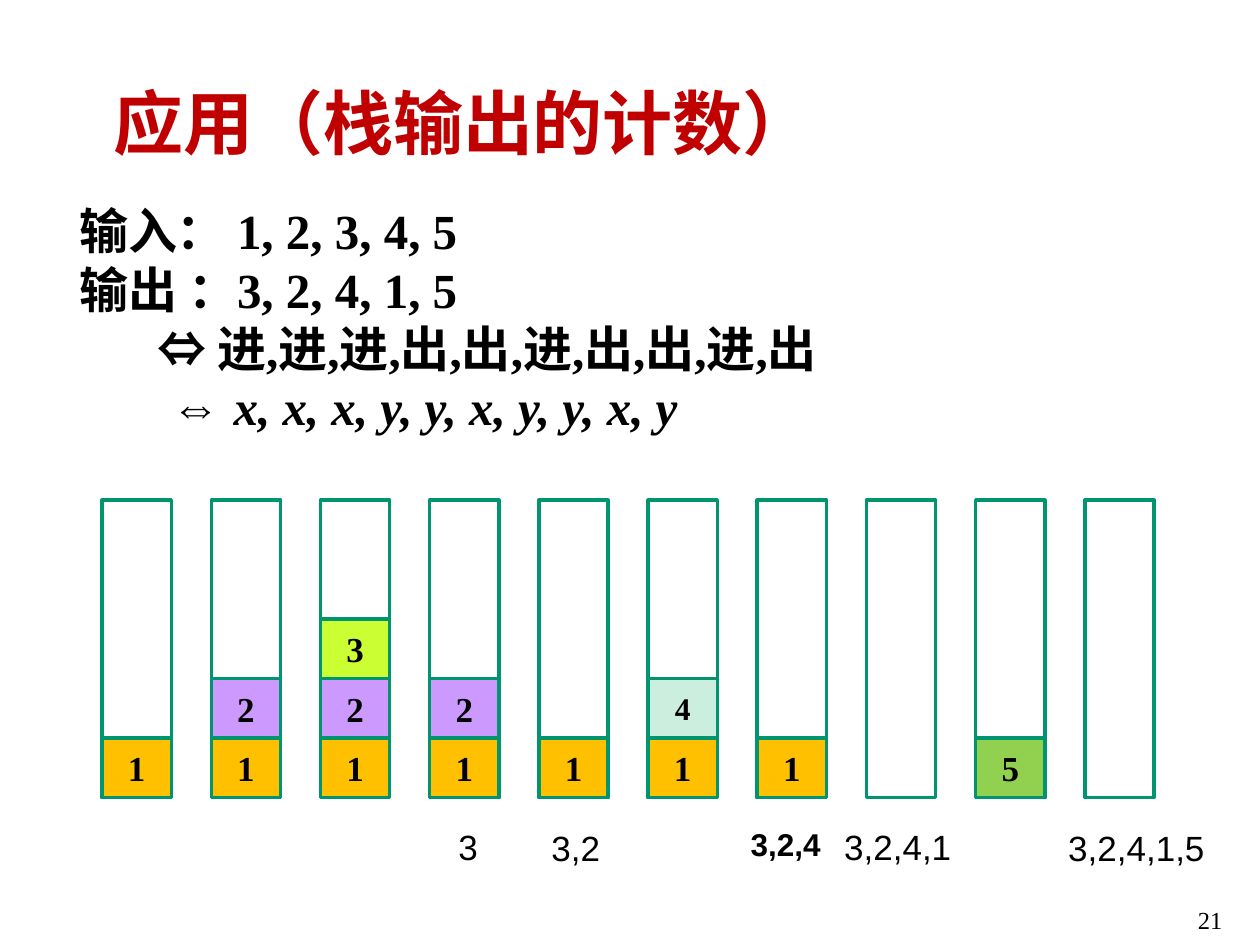
from pptx import Presentation
from pptx.dml.color import RGBColor
from pptx.enum.shapes import MSO_SHAPE
from pptx.enum.text import MSO_ANCHOR, MSO_AUTO_SIZE, PP_ALIGN
from pptx.util import Inches, Pt

COLORS = {
    "title": "C00000", "text": "000000", "outline": "00956F",
    "1": "FFC000", "2": "CC99FF", "3": "CCFF33", "4": "CCEEDF", "5": "92D050",
}
SERIF, SANS = "Times New Roman", "Arial"

# Stack contents after each step, listed from bottom to top
STACKS = ["1", "12", "123", "12", "1", "14", "1", "", "5", ""]
FIRST_LEFT, LAST_LEFT = 0.81, 8.61
PITCH = (LAST_LEFT - FIRST_LEFT) / (len(STACKS) - 1)
STACK_TOP, STACK_HEIGHT, STACK_WIDTH = 3.97, 2.36, 0.55
CELL_HEIGHT = STACK_HEIGHT / 5

# Output so far: text, box, format
OUTPUTS = [
    ("3", (3.54, 6.5, 0.35, 0.44), {}),
    ("3,2", (4.28, 6.51, 0.58, 0.44), {}),
    ("3,2,4", (5.86, 6.5, 0.75, 0.4), {"size": Pt(18), "bold": True}),
    ("3,2,4,1", (6.6, 6.5, 1.05, 0.44), {}),
    ("3,2,4,1,5", (8.3, 6.51, 1.44, 0.44), {}),
]
# Without side margins each output fits its box on one line
OUTPUT_FRAME = {"word_wrap": False, "margin_left": 0, "margin_right": 0}

# Explanation lines: left indent and runs of text with their format
EXPLANATION = [
    (0.53, [("输入： 1, 2, 3, 4, 5", {})]),
    (0.53, [("输出 ：3, 2, 4, 1, 5", {})]),
    (1.15, [("⇔ ", {"name": SANS}), ("进,进,进,出,出,进,出,出,进,出", {})]),
    (1.26, [("⇔ ", {"name": SANS}),
            ("x, x, x, y, y, x, y, y, x, y", {"italic": True})]),
]


def rgb(key):
    return RGBColor.from_string(COLORS[key])


def add_run(paragraph, text, color="text", **font_format):
    run = paragraph.add_run()
    run.text = text
    run.font.color.rgb = rgb(color)
    for attribute, value in font_format.items():
        setattr(run.font, attribute, value)


def add_text_frame(slide, box, frame_format):
    frame = slide.shapes.add_textbox(*map(Inches, box)).text_frame
    for attribute, value in frame_format.items():
        setattr(frame, attribute, value)
    return frame


def add_label(slide, text, box, align, frame_format, **font_format):
    frame = add_text_frame(slide, box, frame_format)
    frame.paragraphs[0].alignment = align
    add_run(frame.paragraphs[0], text, **font_format)


def add_title(slide, text):
    title = slide.shapes.title
    position = {"left": 0.8, "top": 0.62, "width": 9, "height": 0.69}
    for attribute, value in position.items():
        setattr(title, attribute, Inches(value))
    frame = title.text_frame
    frame.auto_size = MSO_AUTO_SIZE.NONE
    frame.vertical_anchor = MSO_ANCHOR.MIDDLE
    frame.paragraphs[0].alignment = PP_ALIGN.LEFT
    add_run(frame.paragraphs[0], text, "title", name=SERIF, size=Pt(40), bold=True)


def add_explanation(slide):
    frame = add_text_frame(slide, (0, 1.54, 9.13, 1.97), {
        "word_wrap": True, "vertical_anchor": MSO_ANCHOR.MIDDLE})
    for index, (indent, runs) in enumerate(EXPLANATION):
        line = frame.add_paragraph() if index else frame.paragraphs[0]
        line._p.get_or_add_pPr().set("marL", str(Inches(indent)))
        for text, changes in runs:
            base = {"name": SERIF, "size": Pt(28), "bold": True}
            add_run(line, text, **(base | changes))


def add_box(slide, left, top, height):
    box = slide.shapes.add_shape(
        MSO_SHAPE.RECTANGLE, Inches(left), Inches(top),
        Inches(STACK_WIDTH), Inches(height))
    box.shadow.inherit = False
    box.fill.background()
    box.line.color.rgb = rgb("outline")
    box.line.width = Pt(2)
    return box


def add_cell(slide, left, top, item):
    cell = add_box(slide, left, top, CELL_HEIGHT)
    cell.fill.solid()
    cell.fill.fore_color.rgb = rgb(item)
    frame = cell.text_frame
    frame.vertical_anchor = MSO_ANCHOR.MIDDLE
    frame.paragraphs[0].alignment = PP_ALIGN.CENTER
    size = Pt(18 if item == "4" else 20)
    add_run(frame.paragraphs[0], item, name=SERIF, size=size, bold=True)


def add_stack(slide, left, items):
    add_box(slide, left, STACK_TOP, STACK_HEIGHT)
    bottom = STACK_TOP + STACK_HEIGHT
    for level, item in enumerate(items, start=1):
        add_cell(slide, left, bottom - level * CELL_HEIGHT, item)


def main():
    presentation = Presentation()
    presentation.slide_width = Inches(10)
    presentation.slide_height = Inches(7.5)
    slide = presentation.slides.add_slide(presentation.slide_layouts[5])

    # Title and explanation
    add_title(slide, "应用（栈输出的计数）")
    add_explanation(slide)

    # Stack states and the output below them
    for step, items in enumerate(STACKS):
        add_stack(slide, FIRST_LEFT + step * PITCH, items)
    for text, box, changes in OUTPUTS:
        base = {"name": SANS, "size": Pt(20)}
        add_label(slide, text, box, PP_ALIGN.CENTER, OUTPUT_FRAME, **(base | changes))

    # Slide number
    add_label(slide, "21", (7.47, 7.13, 2.33, 0.4), PP_ALIGN.RIGHT,
              {"word_wrap": True}, name=SERIF, size=Pt(14))

    presentation.save("out.pptx")


if __name__ == "__main__":
    main()
